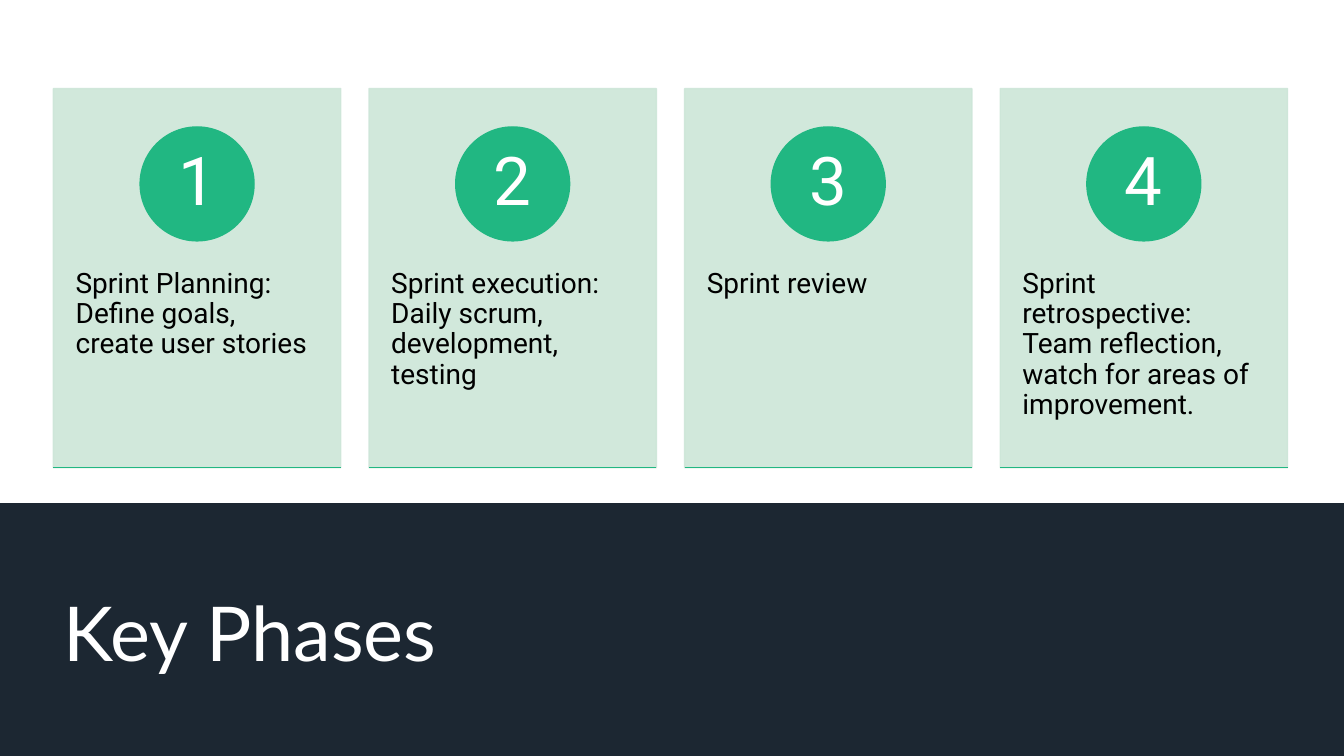
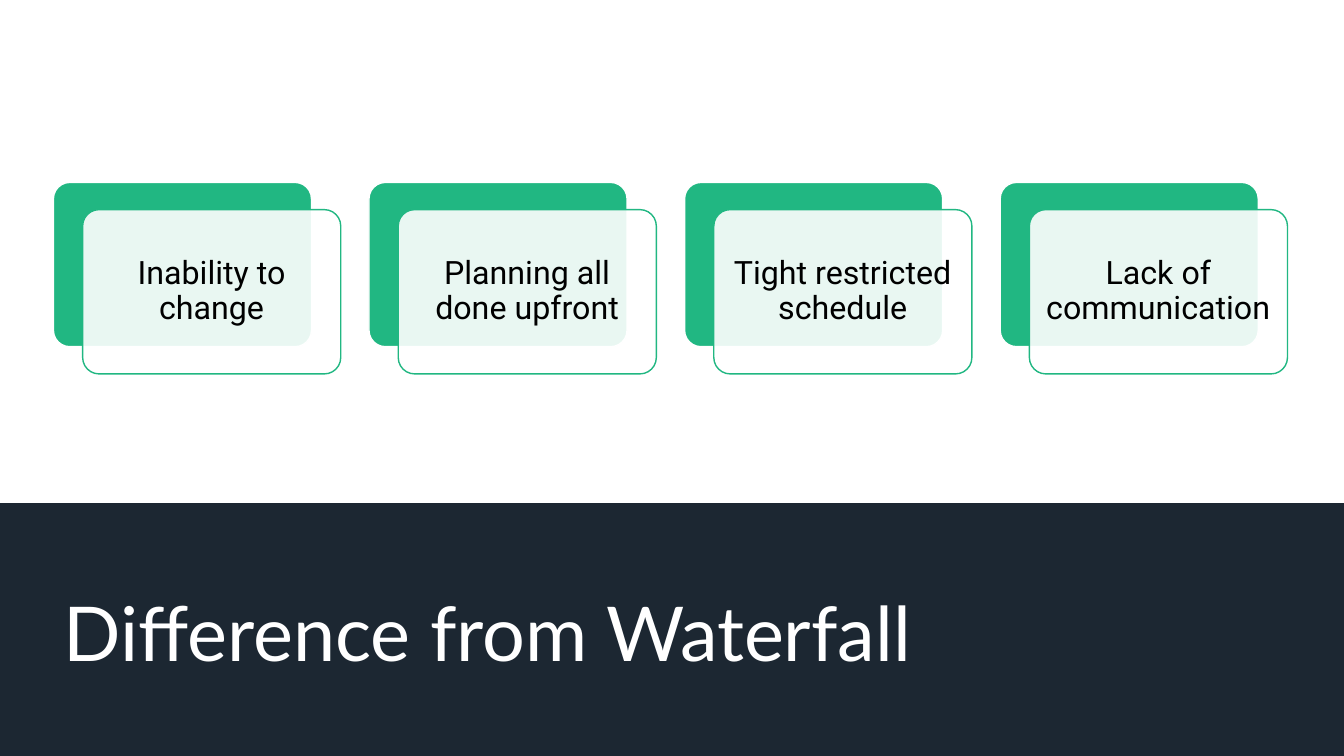
from lxml import etree
from pptx import Presentation
from pptx.dml.color import RGBColor
from pptx.enum.shapes import MSO_CONNECTOR, MSO_SHAPE
from pptx.enum.text import MSO_ANCHOR, MSO_AUTO_SIZE, PP_ALIGN
from pptx.oxml.ns import qn
from pptx.util import Inches, Pt

WHITE = RGBColor(0xFF, 0xFF, 0xFF)
BLACK = RGBColor(0x00, 0x00, 0x00)
NAVY = RGBColor(0x1C, 0x27, 0x32)
GREEN = RGBColor(0x21, 0xB7, 0x82)
MINT = RGBColor(0xCD, 0xE6, 0xD8)

SLIDE_WIDTH, SLIDE_HEIGHT = 13.33, 7.5
BAND_TOP = 4.99
COLUMN_LEFT, COLUMN_PITCH = 0.53, 3.13
CARD_TOP, CARD_WIDTH, CARD_HEIGHT = 0.88, 2.85, 3.76
BADGE_TOP, BADGE_SIZE = 1.26, 1.13
CARD_TEXT_TOP = 2.67
PANEL_TOP, PANEL_WIDTH, PANEL_HEIGHT = 1.81, 2.56, 1.63
PANEL_SHIFT_X, PANEL_SHIFT_Y = 0.29, 0.27

TITLE_FONT = {"name": "Lato", "size": Pt(54)}
CARD_FONT = {"name": "Roboto", "size": Pt(20)}
BADGE_FONT = {"name": "Roboto", "size": Pt(48)}
PANEL_FONT = {"name": "Roboto", "size": Pt(23)}
LEFT_TEXT = {"alignment": PP_ALIGN.LEFT, "line_spacing": 0.9}
CENTRED_TEXT = {"alignment": PP_ALIGN.CENTER, "line_spacing": 0.9}
TITLE_TEXT = {"alignment": PP_ALIGN.LEFT, "line_spacing": 1.0}

PHASES = [
    "Sprint Planning: Define goals, create user stories",
    "Sprint execution: Daily scrum, development, testing",
    "Sprint review",
    "Sprint retrospective: Team reflection, watch for areas of improvement.",
]
DIFFERENCES = [
    "Inability to change",
    "Planning all done upfront",
    "Tight restricted schedule",
    "Lack of communication",
]


def apply(target, values):
    for name, value in values.items():
        setattr(target, name, value)


def frame_format(anchor, left, top, right, bottom):
    return {
        "word_wrap": True,
        "auto_size": MSO_AUTO_SIZE.NONE,
        "vertical_anchor": anchor,
        "margin_left": Inches(left),
        "margin_top": Inches(top),
        "margin_right": Inches(right),
        "margin_bottom": Inches(bottom),
    }


TITLE_FRAME = frame_format(MSO_ANCHOR.BOTTOM, 0.1, 0.05, 0.1, 0.05)
CARD_FRAME = frame_format(MSO_ANCHOR.TOP, 0.22, CARD_TEXT_TOP - CARD_TOP, 0.22, 0.36)
BADGE_FRAME = frame_format(MSO_ANCHOR.MIDDLE, 0.09, 0.01, 0.09, 0.01)
PANEL_FRAME = frame_format(MSO_ANCHOR.MIDDLE, 0.1, 0.1, 0.1, 0.1)


def write_text(shape, text, frame, paragraph_format, font, color):
    apply(shape.text_frame, frame)
    shape.text_frame.text = text
    paragraph = shape.text_frame.paragraphs[0]
    apply(paragraph, paragraph_format)
    apply(paragraph.font, font)
    paragraph.font.color.rgb = color


def set_opacity(element, percent):
    for color in element.iter(qn("a:srgbClr")):
        etree.SubElement(color, qn("a:alpha"), val=str(percent * 1000))


def add_box(slide, kind, left, top, width, height, fill, line=None):
    shape = slide.shapes.add_shape(
        kind, Inches(left), Inches(top), Inches(width), Inches(height)
    )
    shape.shadow.inherit = False
    shape.fill.solid()
    shape.fill.fore_color.rgb = fill
    if line is None:
        shape.line.fill.background()
    else:
        shape.line.color.rgb = line
        shape.line.width = Pt(1)
    return shape


def add_rule(slide, left, top, width):
    rule = slide.shapes.add_connector(
        MSO_CONNECTOR.STRAIGHT,
        Inches(left), Inches(top), Inches(left + width), Inches(top),
    )
    rule.line.color.rgb = GREEN
    rule.line.width = Pt(1)
    etree.SubElement(rule.element.spPr, qn("a:effectLst"))


def add_phase_card(slide, left, number, text):
    card = add_box(
        slide, MSO_SHAPE.RECTANGLE, left, CARD_TOP, CARD_WIDTH, CARD_HEIGHT, MINT, MINT
    )
    set_opacity(card.element.spPr, 90)
    write_text(card, text, CARD_FRAME, LEFT_TEXT, CARD_FONT, BLACK)
    badge_left = left + (CARD_WIDTH - BADGE_SIZE) / 2
    badge = add_box(
        slide, MSO_SHAPE.OVAL, badge_left, BADGE_TOP, BADGE_SIZE, BADGE_SIZE, GREEN, GREEN
    )
    write_text(badge, str(number), BADGE_FRAME, CENTRED_TEXT, BADGE_FONT, WHITE)
    add_rule(slide, left, CARD_TOP + CARD_HEIGHT, CARD_WIDTH)


def add_panel(slide, left, top, fill, line):
    panel = add_box(
        slide, MSO_SHAPE.ROUNDED_RECTANGLE, left, top, PANEL_WIDTH, PANEL_HEIGHT, fill, line
    )
    panel.adjustments[0] = 0.1
    return panel


def add_difference_panel(slide, left, number, text):
    add_panel(slide, left, PANEL_TOP, GREEN, WHITE)
    front = add_panel(
        slide, left + PANEL_SHIFT_X, PANEL_TOP + PANEL_SHIFT_Y, WHITE, GREEN
    )
    set_opacity(front.element.spPr.find(qn("a:solidFill")), 90)
    write_text(front, text, PANEL_FRAME, CENTRED_TEXT, PANEL_FONT, BLACK)


def add_column_slide(presentation, title_text, items, add_item):
    slide = presentation.slides.add_slide(presentation.slide_layouts.get_by_name("Title Only"))
    slide.background.fill.solid()
    slide.background.fill.fore_color.rgb = WHITE
    band = add_box(
        slide, MSO_SHAPE.RECTANGLE,
        0, BAND_TOP, SLIDE_WIDTH, SLIDE_HEIGHT - BAND_TOP, NAVY,
    )
    title = slide.shapes.title
    title.element.addprevious(band.element)
    apply(title, {
        "left": Inches(0.53), "top": Inches(5.39),
        "width": Inches(11.89), "height": Inches(1.37),
    })
    write_text(title, title_text, TITLE_FRAME, TITLE_TEXT, TITLE_FONT, WHITE)
    for index, text in enumerate(items):
        add_item(slide, COLUMN_LEFT + index * COLUMN_PITCH, index + 1, text)


def main():
    presentation = Presentation()
    presentation.slide_width = Inches(SLIDE_WIDTH)
    presentation.slide_height = Inches(SLIDE_HEIGHT)
    add_column_slide(presentation, "Key Phases", PHASES, add_phase_card)
    add_column_slide(
        presentation, "Difference from Waterfall", DIFFERENCES, add_difference_panel
    )
    presentation.save("out.pptx")


if __name__ == "__main__":
    main()
